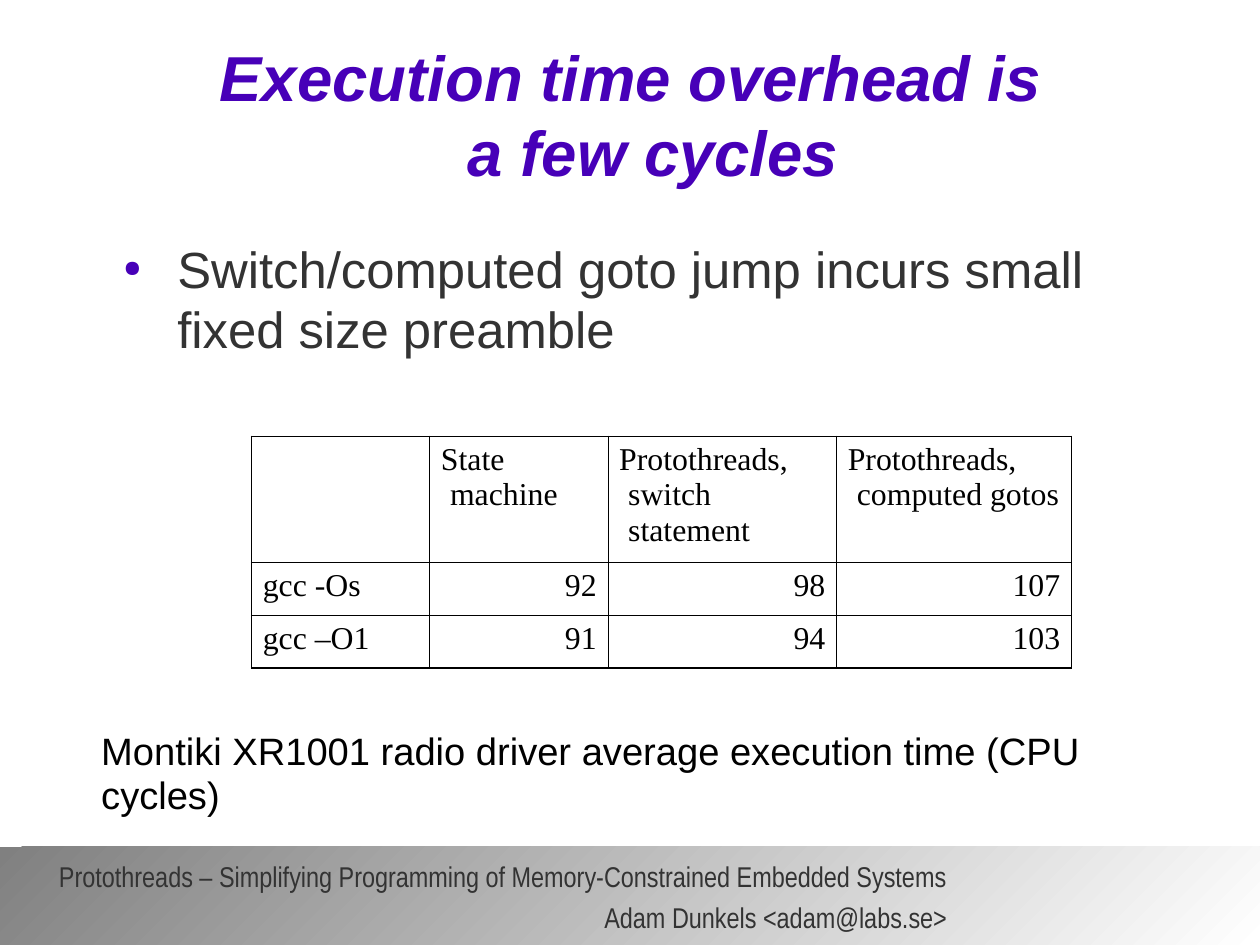
from dataclasses import dataclass

from lxml.etree import SubElement
from pptx import Presentation
from pptx.dml.color import RGBColor as RGB
from pptx.enum.shapes import MSO_SHAPE as SHAPE
from pptx.enum.text import MSO_ANCHOR as ANCHOR, PP_ALIGN as ALIGN
from pptx.oxml import parse_xml
from pptx.oxml.ns import nsdecls, qn
from pptx.util import Cm, Pt


@dataclass(frozen=True)
class Theme:
    """Colours, fonts and type sizes of the deck."""
    accent: str = "4700B8"
    text: str = "333333"
    ink: str = "000000"
    bar: tuple = ("808080", "FFFFFF")
    sans: str = "Arial"
    narrow: str = "Arial Narrow"
    serif: str = "Times New Roman"
    title: int = 40
    body: int = 32
    caption: int = 24
    cell: int = 20
    footer: int = 18
    thick: float = 1.08
    thin: float = 0.45


def apply(obj, values):
    """Set each named attribute of an object."""
    for name, value in values.items():
        setattr(obj, name, value)


class Deck:
    """Holds the theme and the current slide."""

    def __init__(self, slide, theme):
        """Remember the slide and the theme."""
        self.slide, self.theme = slide, theme

    def para(self, p, text, font, size, color, indent=None, bold=False, **style):
        """Fill a paragraph, with line breaks at newlines."""
        apply(p, style)
        if indent:
            left, first = indent
            pPr = p._p.get_or_add_pPr()
            pPr.set("marL", str(Cm(left)))
            pPr.set("indent", str(Cm(first)))
        for i, line in enumerate(text.split("\n")):
            if i:
                p.add_line_break()
            r = p.add_run()
            r.text = line
            apply(r.font, {"name": font, "size": Pt(size), "bold": bold, "italic": bold})
            r.font.color.rgb = RGB.from_string(color)

    def text(self, box, lines, inset=(0, 0), anchor=ANCHOR.TOP, wrap=True, **style):
        """Add a text box with one paragraph per line."""
        tf = self.slide.shapes.add_textbox(*map(Cm, box)).text_frame
        x, y = map(Cm, inset)
        apply(tf, {"margin_left": x, "margin_right": x, "margin_top": y,
                   "margin_bottom": y, "word_wrap": wrap, "vertical_anchor": anchor})
        for i, line in enumerate(lines):
            p = tf.add_paragraph() if i else tf.paragraphs[0]
            self.para(p, line, **style)
        return tf

    def bullet(self, p, char, percent):
        """Give a paragraph an accent-coloured bullet."""
        pPr = p._p.get_or_add_pPr()
        color = SubElement(pPr, qn("a:buClr"))
        SubElement(color, qn("a:srgbClr"), val=self.theme.accent)
        SubElement(pPr, qn("a:buSzPct"), val=str(percent * 1000))
        SubElement(pPr, qn("a:buChar"), char=char)

    def bar(self, box):
        """Add the gradient footer bar."""
        s = self.slide.shapes.add_shape(SHAPE.ROUNDED_RECTANGLE, *map(Cm, box))
        s.shadow.inherit = False
        s.adjustments[0] = 0
        s.line.fill.background()
        s.fill.gradient()
        s.fill.gradient_angle = 315
        for stop, color in zip(s.fill.gradient_stops, self.theme.bar):
            stop.color.rgb = RGB.from_string(color)

    def borders(self, cell, thick_sides):
        """Draw the four cell borders."""
        tcPr = cell._tc.get_or_add_tcPr()
        for i, side in enumerate("LRTB"):
            width = self.theme.thick if side in thick_sides else self.theme.thin
            tcPr.insert(i, parse_xml(
                f'<a:ln{side} {nsdecls("a")} w="{Pt(width)}"><a:solidFill>'
                f'<a:srgbClr val="{self.theme.ink}"/></a:solidFill></a:ln{side}>'))

    def table(self, x, y, widths, heights, rows):
        """Add a table with a thick frame and right-aligned numbers."""
        t = self.theme
        table = self.slide.shapes.add_table(
            len(rows), len(widths), Cm(x), Cm(y),
            Cm(sum(widths)), Cm(sum(heights))).table
        apply(table, {"first_row": False, "horz_banding": False})
        for col, width in zip(table.columns, widths):
            col.width = Cm(width)
        for i, (row, height) in enumerate(zip(rows, heights)):
            table.rows[i].height = Cm(height)
            for j, text in enumerate(row):
                cell = table.cell(i, j)
                apply(cell, {"margin_left": Cm(0.25), "margin_right": Cm(0.25),
                             "margin_top": Cm(0.13), "margin_bottom": Cm(0.13)})
                cell.fill.background()
                edges = {"L": j == 0, "R": j == len(widths) - 1,
                         "T": i == 0, "B": i == len(rows) - 1}
                self.borders(cell, [side for side, outer in edges.items() if outer])
                if text:
                    self.para(cell.text_frame.paragraphs[0], text, t.serif, t.cell,
                              t.ink, indent=(0.2, -0.2), space_before=Pt(5),
                              alignment=ALIGN.RIGHT if i and j else ALIGN.LEFT)


def main():
    """Build and save the slide."""
    prs = Presentation()
    apply(prs, {"slide_width": Cm(28), "slide_height": Cm(21)})
    t = Theme()
    deck = Deck(prs.slides.add_slide(prs.slide_layouts[6]), t)

    deck.bar((0, 18.82, 28, 2.18))
    deck.text((0.3, 18.97, 20.75, 1.75),
              ["Protothreads – Simplifying Programming of Memory-Constrained Embedded Systems",
               "Adam Dunkels <adam@labs.se>"],
              anchor=ANCHOR.MIDDLE, font=t.narrow, size=t.footer, color=t.text,
              alignment=ALIGN.RIGHT, line_spacing=1.2)
    deck.text((2.06, 0.84, 23.9, 3.5), ["Execution time overhead is\na few cycles"],
              anchor=ANCHOR.MIDDLE, font=t.sans, size=t.title, color=t.accent, bold=True,
              indent=(1, -1), alignment=ALIGN.CENTER, line_spacing=0.98)
    deck.table(5.59, 9.7, (3.96, 3.96, 5.08, 5.22), (2.8, 1.17, 1.17), [
        ("", "State machine", "Protothreads, switch statement",
         "Protothreads, computed gotos"),
        ("gcc -Os", "92", "98", "107"),
        ("gcc –O1", "91", "94", "103"),
    ])
    deck.text((2, 16.1, 24.97, 1.25),
              ["Montiki XR1001 radio driver average execution time (CPU cycles)"],
              inset=(0.25, 0.13), wrap=False, font=t.sans, size=t.caption,
              color=t.ink, line_spacing=0.96)
    tf = deck.text((2.54, 5.36, 23.37, 13.23),
                   ["Switch/computed goto jump incurs small fixed size preamble"],
                   font=t.sans, size=t.body, color=t.text, indent=(1.4, -1.2),
                   line_spacing=0.98, space_after=Pt(14))
    deck.bullet(tf.paragraphs[0], "●", 45)
    prs.save("out.pptx")


if __name__ == "__main__":
    main()
